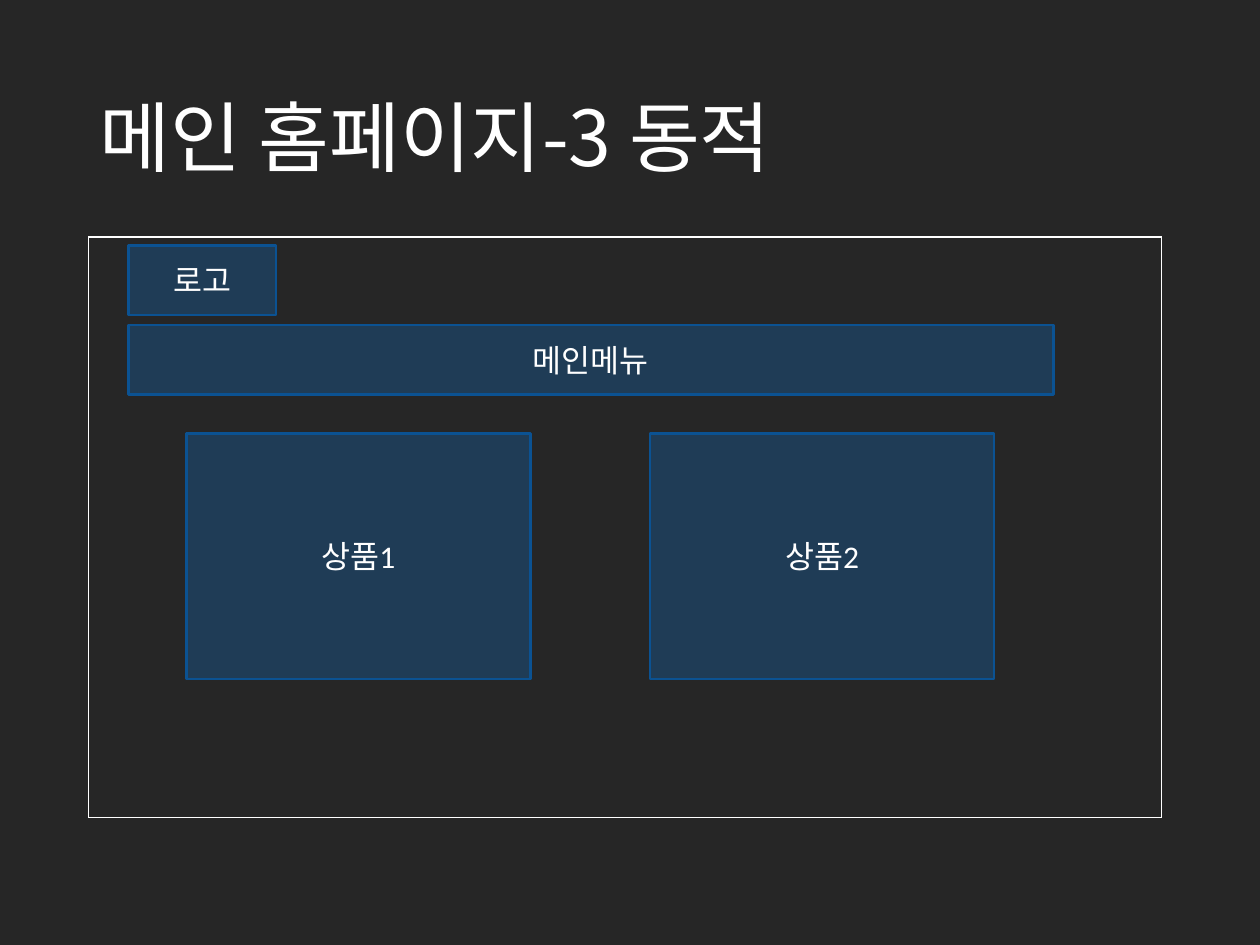
from dataclasses import dataclass

from lxml import etree
from pptx import Presentation
from pptx.dml.color import RGBColor
from pptx.enum import shapes, text
from pptx.oxml import ns
from pptx import util as u

PX = u.Inches(1) // 100


@dataclass(frozen=True)
class Theme:
    background: str = "262626"
    ink: str = "FFFFFF"
    fill: str = "0F6FC6"
    border: str = "0B5292"
    fill_alpha: int = 30
    title_size: int = 44
    label_size: int = 18
    border_width: float = 1.5
    frame_width: float = 0.75
    latin: str = "Calibri"
    korean: str = "Noto Sans CJK KR"


THEME = Theme()


def px(*lengths):
    return [n * PX for n in lengths]


def rgb(value):
    return RGBColor.from_string(value)


def set_attrs(obj, values):
    for name, value in values.items():
        setattr(obj, name, value)


def write(tf, words, size, font, align):
    set_attrs(tf, {"word_wrap": True, "auto_size": text.MSO_AUTO_SIZE.NONE,
                   "vertical_anchor": text.MSO_ANCHOR.MIDDLE})
    p = tf.paragraphs[0]
    p.alignment = align
    r = p.add_run()
    r.text = words
    set_attrs(r.font, {"size": u.Pt(size), "name": font})
    r.font.color.rgb = rgb(THEME.ink)
    latin = r.font._element.find(ns.qn("a:latin"))
    ea = etree.Element(ns.qn("a:ea"), typeface=THEME.korean)
    latin.addnext(ea)
    return p


def add_title(s, box, words):
    sp = s.shapes.title
    set_attrs(sp, dict(zip(("left", "top", "width", "height"), px(*box))))
    p = write(sp.text_frame, words, THEME.title_size, THEME.korean, text.PP_ALIGN.LEFT)
    p.line_spacing = 0.9


def add_block(s, box, words):
    sp = s.shapes.add_shape(shapes.MSO_SHAPE.RECTANGLE, *px(*box))
    sp.shadow.inherit = False
    sp.fill.solid()
    sp.fill.fore_color.rgb = rgb(THEME.fill)
    color = sp._element.spPr.find(ns.qn("a:solidFill"))[0]
    etree.SubElement(color, ns.qn("a:alpha"), val=str(THEME.fill_alpha * 1000))
    sp.line.color.rgb = rgb(THEME.border)
    sp.line.width = u.Pt(THEME.border_width)
    write(sp.text_frame, words, THEME.label_size, THEME.latin, text.PP_ALIGN.CENTER)


def add_frame(s, box):
    x, y, w, h = box
    corners = [(x, y), (x + w, y), (x + w, y + h), (x, y + h)]
    for start, end in zip(corners, corners[1:] + corners[:1]):
        line = s.shapes.add_connector(shapes.MSO_CONNECTOR.STRAIGHT, *px(*start, *end))
        line.line.color.rgb = rgb(THEME.ink)
        line.line.width = u.Pt(THEME.frame_width)
        etree.SubElement(line._element.spPr, ns.qn("a:effectLst"))


def add_header(s, box):
    x, y, w, h = box
    bar = 55
    add_block(s, (x, y, 117, bar), "로고")
    add_block(s, (x, y + h - bar, w, bar), "메인메뉴")


def add_products(s, box, names):
    x, y, w, h = box
    card = 273
    step = (w - card) // (len(names) - 1)
    for i, name in enumerate(names):
        add_block(s, (x + i * step, y, card, h), name)


def add_page(s, box):
    x, y, w, h = box
    add_frame(s, box)
    add_header(s, (x + 32, y + 7, 734, 118))
    add_products(s, (x + 78, y + 156, 641, 195), ["상품1", "상품2"])


def main():
    prs = Presentation()
    set_attrs(prs, dict(zip(("slide_width", "slide_height"), px(1000, 750))))
    s = prs.slides.add_slide(prs.slide_layouts[5])
    s.background.fill.solid()
    s.background.fill.fore_color.rgb = rgb(THEME.background)
    add_title(s, (69, 40, 862, 145), "메인 홈페이지-3 동적")
    add_page(s, (70, 188, 852, 461))
    prs.save("out.pptx")


if __name__ == "__main__":
    main()
